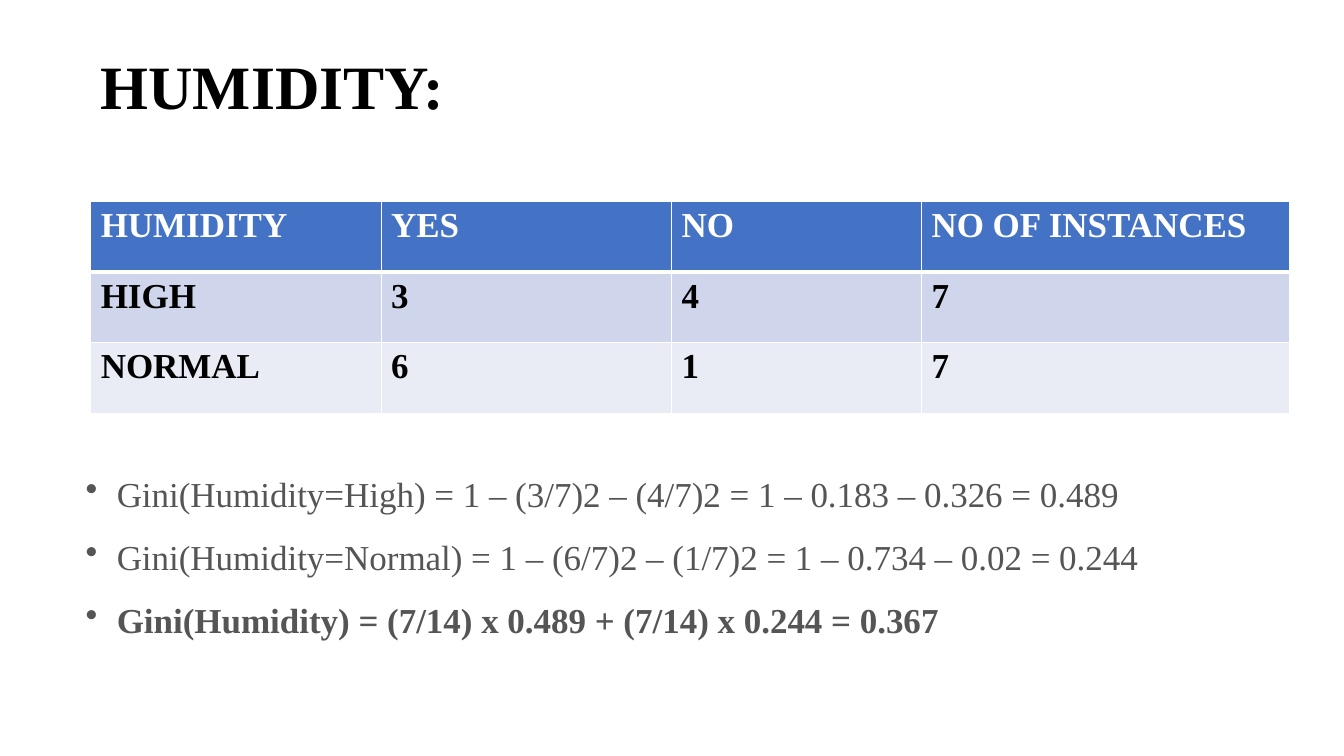
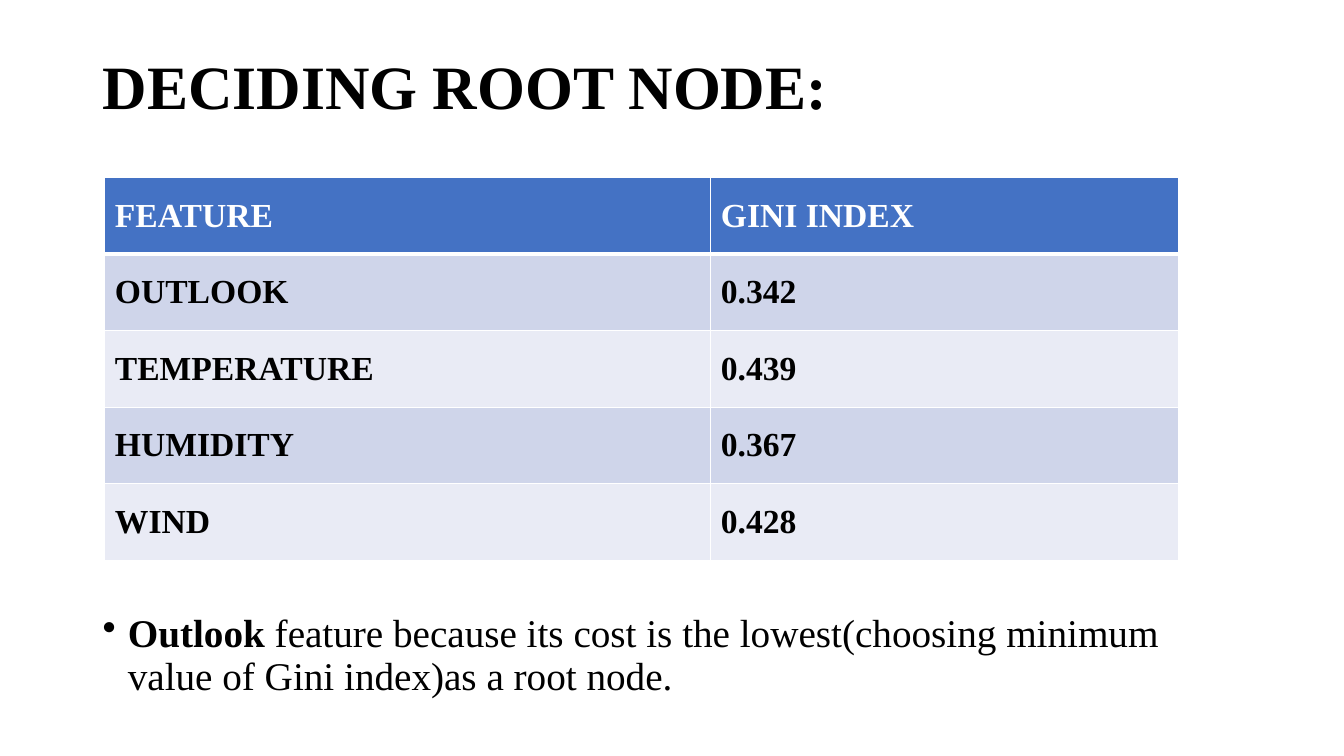
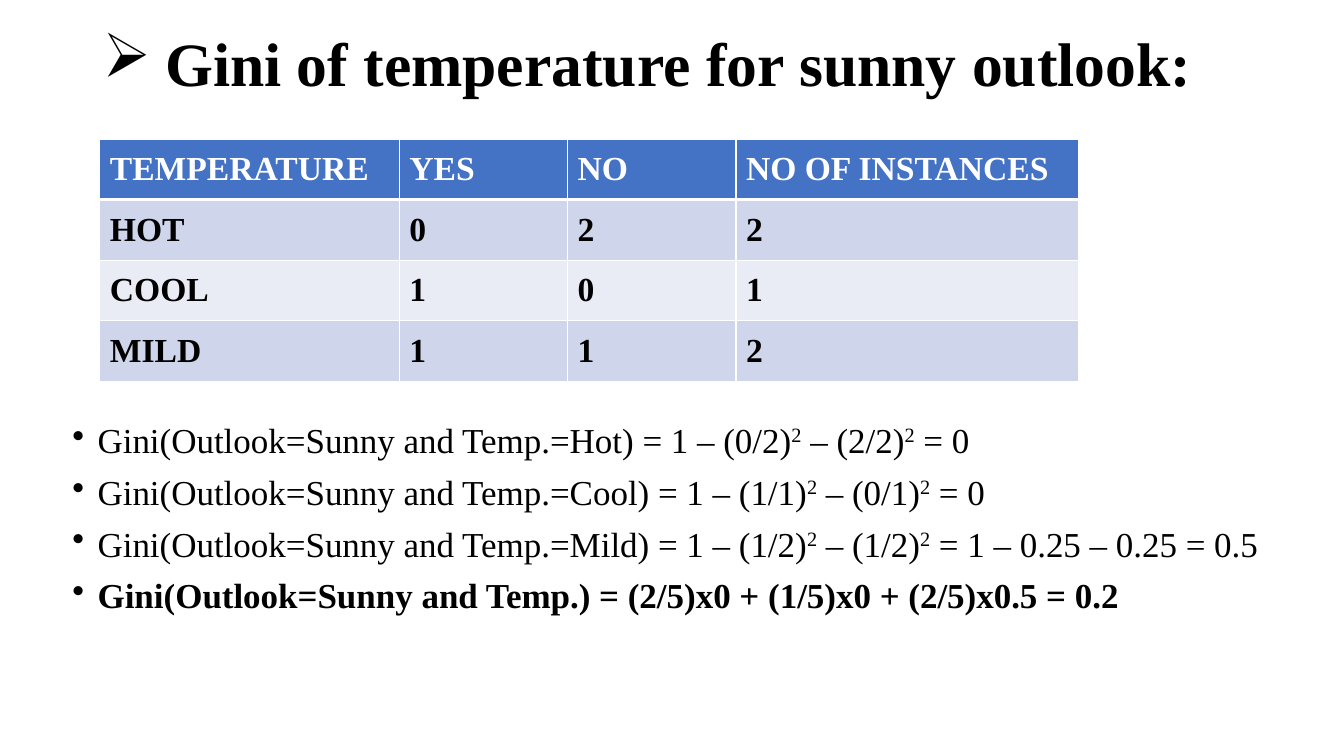
import pptx
import pptx.util
import pptx.dml.color
import pptx.enum.text
import pptx.oxml
import pptx.oxml.ns
import dataclasses

Inches = pptx.util.Inches
Pt = pptx.util.Pt
qn = pptx.oxml.ns.qn


@dataclasses.dataclass(frozen=True)
class Theme:
    font: str = "Times New Roman"
    black: str = "000000"
    white: str = "FFFFFF"
    grey: str = "555555"
    head: str = "4472C4"
    bands: tuple = ("CFD5EA", "E9EBF5")
    title: int = 44
    large: int = 28
    body: int = 25
    cell: int = 24
    thin: int = 1
    thick: int = 3


theme = Theme()


def write(frame, paras, size, color, space=1.0, before=0, bullet=None, indent=0):
    """Fill a text frame; each paragraph is a list of (text, style) runs.

    Style letters: b for bold, s for superscript.
    """
    frame.word_wrap = True
    for i, runs in enumerate(paras):
        para = frame.paragraphs[0] if i == 0 else frame.add_paragraph()
        para.line_spacing = space
        para.space_before = Pt(before)
        if bullet:
            props = para._p.get_or_add_pPr()
            props.set("marL", str(Inches(indent)))
            props.set("indent", str(-Inches(indent)))
            mark = pptx.oxml.ns.nsdecls("a")
            props.append(pptx.oxml.parse_xml(f'<a:buChar {mark} char="{bullet}"/>'))
        for text, style in runs:
            run = para.add_run()
            run.text = text
            run.font.name = theme.font
            run.font.size = Pt(size)
            run.font.bold = "b" in style
            run.font.color.rgb = pptx.dml.color.RGBColor.from_string(color)
            if "s" in style:
                run._r.get_or_add_rPr().set("baseline", "30000")


def grid(slide, left, top, widths, height, rows, size, pad, anchor):
    """Add a table with a header row, banded rows and white rules."""
    table = slide.shapes.add_table(
        len(rows), len(widths), Inches(left), Inches(top),
        Inches(sum(widths)), Inches(height * len(rows))).table
    for col, width in zip(table.columns, widths):
        col.width = Inches(width)
    for r, row in enumerate(rows):
        table.rows[r].height = Inches(height)
        for c, text in enumerate(row):
            cell = table.cell(r, c)
            cell.margin_left = cell.margin_right = Inches(0.1)
            cell.margin_top = cell.margin_bottom = Inches(pad)
            cell.vertical_anchor = anchor
            # Rules: a thick one between header and body
            props = cell._tc.get_or_add_tcPr()
            for side in ("L", "R", "T", "B"):
                heavy = (r, side) in ((0, "B"), (1, "T"))
                width = Pt(theme.thick if heavy else theme.thin)
                props.append(pptx.oxml.parse_xml(
                    f'<a:ln{side} {pptx.oxml.ns.nsdecls("a")} w="{width}"><a:solidFill>'
                    f'<a:srgbClr val="{theme.white}"/></a:solidFill></a:ln{side}>'))
            fill = theme.bands[(r - 1) % 2] if r else theme.head
            cell.fill.solid()
            cell.fill.fore_color.rgb = pptx.dml.color.RGBColor.from_string(fill)
            write(cell.text_frame, [[(text, "b")]], size,
                  theme.black if r else theme.white)


deck = pptx.Presentation()
deck.slide_width, deck.slide_height = Inches(13.33), Inches(7.5)
TOP = pptx.enum.text.MSO_ANCHOR.TOP
MID = pptx.enum.text.MSO_ANCHOR.MIDDLE

# Slides with their titles: text, left, top, bullet
heads = [
    ("HUMIDITY:", 0.9, 0.56, None),
    ("DECIDING ROOT NODE:", 0.92, 0.56, None),
    ("Gini of temperature for sunny outlook:", 0.92, 0.33, "\u27a2"),
]
slides = []
for text, left, top, bullet in heads:
    slide = deck.slides.add_slide(deck.slide_layouts[6])
    frame = slide.shapes.add_textbox(
        Inches(left), Inches(top), Inches(11.5), Inches(1.1)).text_frame
    frame.margin_top = 0
    write(frame, [[(text, "b")]], theme.title, theme.black, 0.9,
          bullet=bullet, indent=0.62)
    slides.append(slide)
humid, root, sunny = slides

# Humidity: counts and Gini values
grid(humid, 0.9, 2, [2.88, 2.88, 2.48, 3.65], 0.7, [
    ("HUMIDITY", "YES", "NO", "NO OF INSTANCES"),
    ("HIGH", "3", "4", "7"),
    ("NORMAL", "6", "1", "7"),
], theme.body, 0.05, TOP)
box = humid.shapes.add_textbox(Inches(0.75), Inches(4.43), Inches(11.51), Inches(1.92))
write(box.text_frame, [
    [("Gini(Humidity=High) = 1 – (3/7)2\u00a0– (4/7)2\u00a0= 1 – 0.183 – 0.326 = 0.489", "")],
    [("Gini(Humidity=Normal) = 1 – (6/7)2\u00a0– (1/7)2\u00a0= 1 – 0.734 – 0.02 = 0.244", "")],
    [("Gini(Humidity) = (7/14) x 0.489 + (7/14) x 0.244 = 0.367", "b")],
], theme.body, theme.grey, 1.5, bullet="•", indent=0.31)

# Root node: Gini index of each feature
box = root.shapes.add_textbox(Inches(0.92), Inches(6.04), Inches(11.5), Inches(1.21))
write(box.text_frame, [[
    ("Outlook", "b"),
    (" feature because its cost is the lowest(choosing minimum value of Gini index)"
     "as a root node.", ""),
]], theme.large, theme.black, 0.9, 10, "•", 0.25)
grid(root, 1.04, 1.76, [6.01, 4.64], 0.76, [
    ("FEATURE", "GINI INDEX"),
    ("OUTLOOK", "0.342"),
    ("TEMPERATURE", "0.439"),
    ("HUMIDITY", "0.367"),
    ("WIND", "0.428"),
], theme.cell, 0.1, MID)

# Sunny outlook: Gini of each temperature, then the weighted sum
terms = [
    ("Hot", "(0/2)", "(2/2)", "0"),
    ("Cool", "(1/1)", "(0/1)", "0"),
    ("Mild", "(1/2)", "(1/2)", "1 – 0.25 – 0.25 = 0.5"),
]
lines = [[
    (f"Gini(Outlook=Sunny and Temp.={temp}) = 1 – {yes}", ""), ("2", "s"),
    (f"\u00a0– {no}", ""), ("2", "s"), (f"\u00a0= {end}", ""),
] for temp, yes, no, end in terms]
lines.append([("Gini(Outlook=Sunny and Temp.) = (2/5)x0 + (1/5)x0 + (2/5)x0.5 = 0.2", "b")])
box = sunny.shapes.add_textbox(Inches(0.62), Inches(4.15), Inches(12.57), Inches(2.6))
write(box.text_frame, lines, theme.body, theme.black, 0.9, 10, "•", 0.25)
grid(sunny, 0.99, 1.38, [2.97, 1.67, 1.67, 3.4], 0.57, [
    ("TEMPERATURE", "YES", "NO", "NO OF INSTANCES"),
    ("HOT", "0", "2", "2"),
    ("COOL", "1", "0", "1"),
    ("MILD", "1", "1", "2"),
], theme.cell, 0.1, MID)

deck.save("out.pptx")
